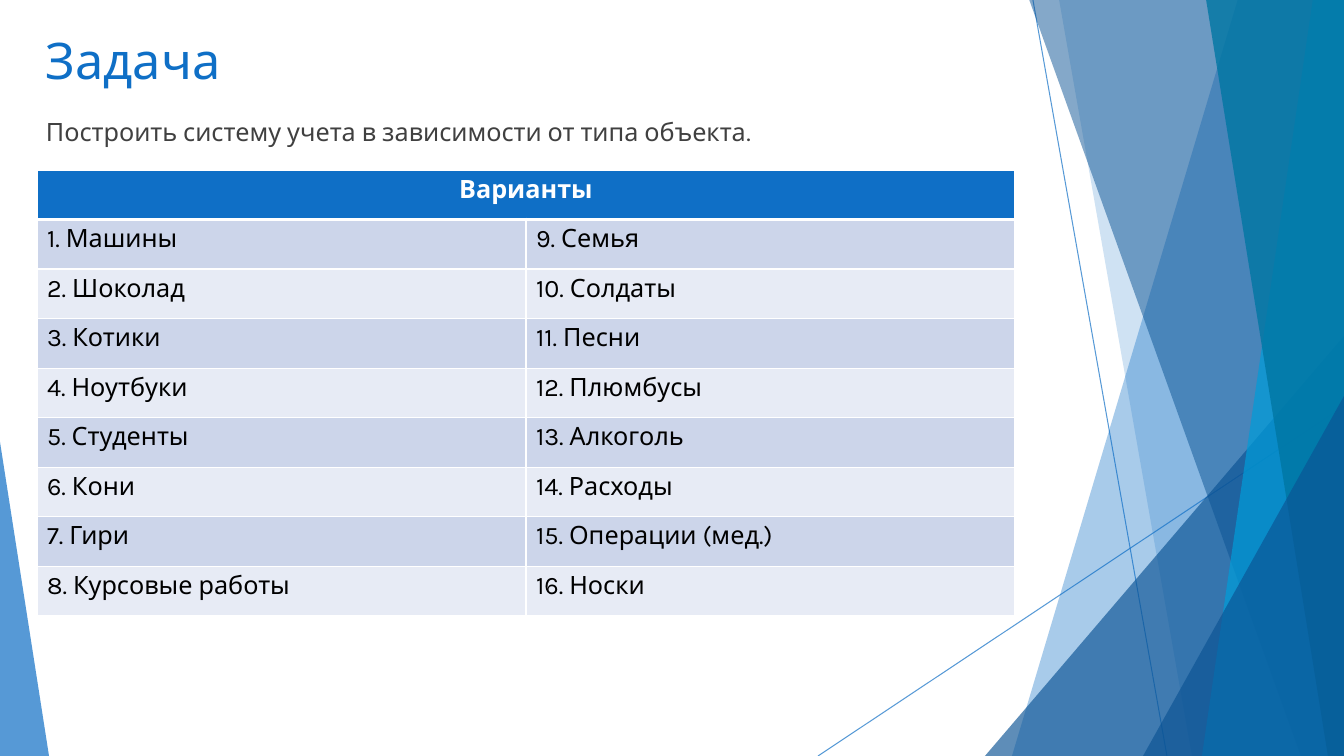
from lxml.etree import SubElement
from pptx import Presentation
from pptx.dml.color import RGBColor
from pptx.enum.shapes import MSO_CONNECTOR, MSO_SHAPE
from pptx.enum.text import MSO_ANCHOR, PP_ALIGN
from pptx.oxml.ns import qn
from pptx.util import Emu, Pt

SCALE = 914400 / 100.8
WIDTH, HEIGHT = 1344, 756
BLUE, NAVY, SKY, TEAL, WHITE = "0F6FC6", "0B5394", "009DD9", "0076A3", "FFFFFF"


def px(*values):
    return [Emu(round(value * SCALE)) for value in values]


def paint(fill, color, opacity=100):
    fill.solid()
    fill.fore_color.rgb = RGBColor.from_string(color)
    if opacity < 100:
        for tint in fill._xPr.iter(qn("a:srgbClr")):
            SubElement(tint, qn("a:alpha"), val=str(opacity * 1000))


deck = Presentation()
deck.slide_width, deck.slide_height = px(WIDTH, HEIGHT)
page = deck.slides.add_slide(deck.slide_layouts[6])

# Thin crossing lines
for ends in [(1033, 0, 1167, HEIGHT), (WIDTH, 406, 818, HEIGHT)]:
    line = page.shapes.add_connector(MSO_CONNECTOR.STRAIGHT, *px(*ends))
    line.line.width = Pt(0.75)
    paint(line.line.fill, BLUE, 70)
    SubElement(line._element.spPr, qn("a:effectLst"))

# Facets, back to front: a band is (top left x, bottom left x) and reaches the right edge,
# a triangle is (left, top, width, apex position) and stands on the bottom edge
facets = [
    ("band", (1238, 1012), BLUE, 36),
    ("band", (1059, 1192), BLUE, 20),
    ("triangle", (985, 336, 359, 1), NAVY, 66),
    ("band", (1029, 1301), NAVY, 50),
    ("band", (1313, 1202), SKY, 70),
    ("band", (1206, 1328), TEAL, 80),
    ("triangle", (1143, 396, 201, 1), NAVY, 66),
    ("triangle", (0, 442, 49, 0), BLUE, 70),
]
for kind, place, color, opacity in facets:
    if kind == "band":
        top_x, bottom_x = place
        outline = page.shapes.build_freeform(top_x, -1, scale=SCALE)
        outline.add_line_segments([(WIDTH, -1), (WIDTH, HEIGHT), (bottom_x, HEIGHT)])
        facet = outline.convert_to_shape()
    else:
        left, top, width, apex = place
        facet = page.shapes.add_shape(
            MSO_SHAPE.ISOSCELES_TRIANGLE, *px(left, top, width, HEIGHT - top))
        facet.adjustments[0] = apex
    facet.shadow.inherit = False
    facet.line.fill.background()
    paint(facet.fill, color, opacity)

# Title and task
texts = [
    ("Задача", (36, 24, 948, 145), 36, BLUE, 0),
    ("Построить систему учета в зависимости от типа объекта.",
     (36, 111, 1035, 59), 18, "404040", 10),
]
for words, place, size, color, space in texts:
    box = page.shapes.add_textbox(*px(*place))
    box.text_frame.word_wrap = True
    box.text_frame.vertical_anchor = MSO_ANCHOR.TOP
    para = box.text_frame.paragraphs[0]
    para.space_before = Pt(space)
    span = para.add_run()
    span.text = words
    for name, value in {"name": "Karla", "size": Pt(size)}.items():
        setattr(span.font, name, value)
    span.font.color.rgb = RGBColor.from_string(color)

# Table of variants, numbered down the columns
variants = [
    "Машины", "Шоколад", "Котики", "Ноутбуки", "Студенты", "Кони", "Гири",
    "Курсовые работы", "Семья", "Солдаты", "Песни", "Плюмбусы", "Алкоголь",
    "Расходы", "Операции (мед.)", "Носки",
]
half = len(variants) // 2
labels = [f"{number}. {name}" for number, name in enumerate(variants, 1)]
rows = [("Варианты", ""), *zip(labels[:half], labels[half:])]
table = page.shapes.add_table(len(rows), 2, *px(37, 170, 978, 446)).table
for row in table.rows:
    row.height = px(446 / len(rows))[0]
table.cell(0, 0).merge(table.cell(0, 1))

for row_index, row_words in enumerate(rows):
    header = row_index == 0
    background = BLUE if header else ("E7EBF5", "CCD5EA")[row_index % 2]
    for column, words in enumerate(row_words):
        cell = table.cell(row_index, column)
        borders = {"lnL": 1, "lnR": 1, "lnT": 3 if row_index == 1 else 1,
                   "lnB": 3 if header else 1}
        for side, points in borders.items():
            border = SubElement(cell._tc.get_or_add_tcPr(), qn(f"a:{side}"),
                                w=str(Pt(points)))
            SubElement(SubElement(border, qn("a:solidFill")), qn("a:srgbClr"), val=WHITE)
        paint(cell.fill, background)
        if not words:
            continue
        para = cell.text_frame.paragraphs[0]
        para.alignment = PP_ALIGN.CENTER if header else PP_ALIGN.LEFT
        span = para.add_run()
        span.text = words
        for name, value in {"name": "Karla", "size": Pt(18), "bold": header}.items():
            setattr(span.font, name, value)
        span.font.color.rgb = RGBColor.from_string(WHITE if header else "000000")

deck.save("out.pptx")
